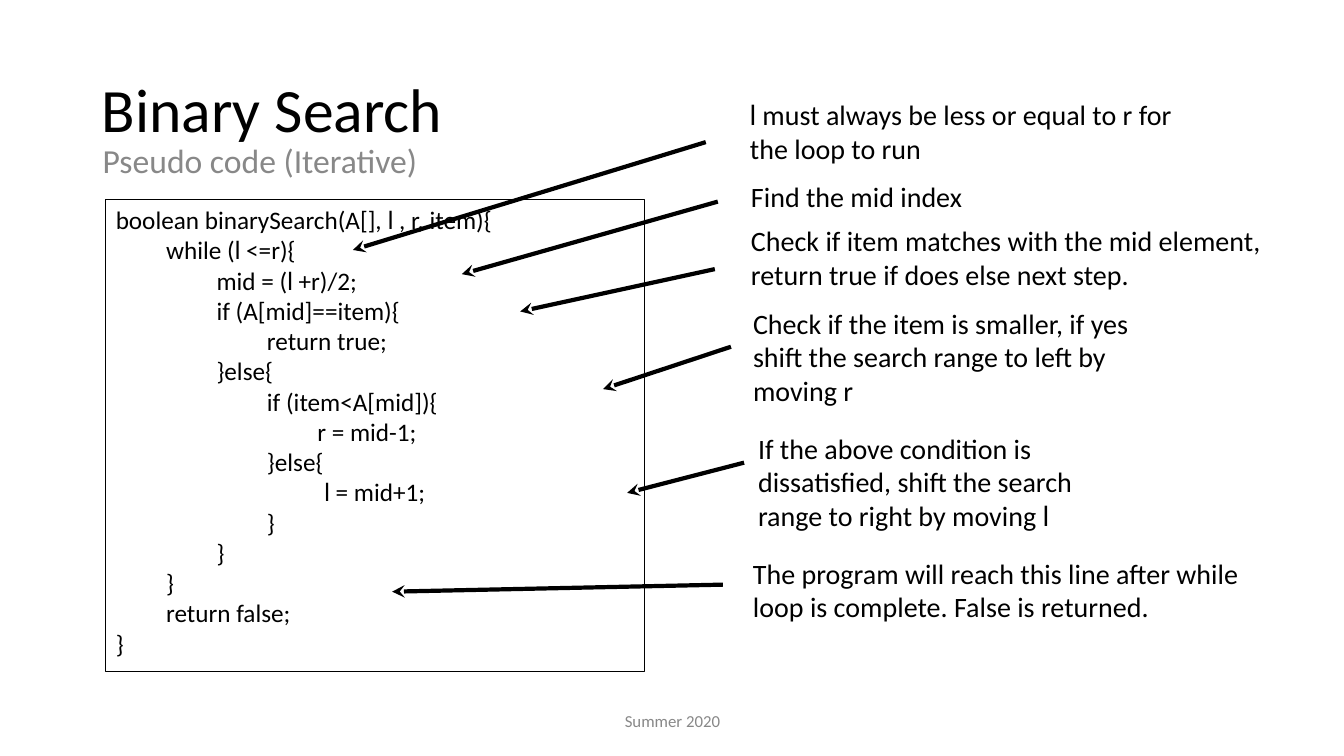
from dataclasses import dataclass

from lxml import etree
from pptx import Presentation
from pptx.dml.color import RGBColor
from pptx.enum.shapes import MSO_CONNECTOR, MSO_SHAPE
from pptx.enum.text import MSO_ANCHOR, MSO_AUTO_SIZE, PP_ALIGN
from pptx.oxml.ns import qn
from pptx.util import Emu, Pt

STRAIGHT = MSO_CONNECTOR.STRAIGHT
RECT = MSO_SHAPE.RECTANGLE
TOP, MIDDLE, BOTTOM = MSO_ANCHOR.TOP, MSO_ANCHOR.MIDDLE, MSO_ANCHOR.BOTTOM
NO_FIT, GROW = MSO_AUTO_SIZE.NONE, MSO_AUTO_SIZE.SHAPE_TO_FIT_TEXT
LEFT, CENTER = PP_ALIGN.LEFT, PP_ALIGN.CENTER
EMU_PER_PX = 9144


@dataclass(frozen=True)
class Theme:
    """Fonts, colours, type sizes and line widths of the slide."""
    font: str = "Calibri"
    variable_font: str = "Arial"
    ink: RGBColor = RGBColor(0x00, 0x00, 0x00)
    muted: RGBColor = RGBColor(0x88, 0x88, 0x88)
    title: int = 44
    subtitle: int = 24
    note: int = 20
    code: int = 18
    footer: int = 12
    border: float = 0.75
    arrow: float = 3


THEME = Theme()

CODE = [
    (0, "boolean binarySearch(A[], |l| , r, item){"),
    (1, "while (|l| <=r){"),
    (2, "mid = (|l| +r)/2;"),
    (2, "if (A[mid]==item){"),
    (3, "return true;"),
    (2, "}else{"),
    (3, "if (item<A[mid]){"),
    (4, "r = mid-1;"),
    (3, "}else{"),
    (4, "| l| = mid+1;"),
    (3, "}"),
    (2, "}"),
    (1, "}"),
    (1, "return false;"),
    (0, "}"),
]

NOTES = [
    ((734, 92, 464, 77), "|l| must always be less or equal to r for the loop to run"),
    ((735, 173, 471, 44), "Find the mid index"),
    ((735, 217, 544, 77), "Check if item matches with the mid element, "
                          "return true if does else next step."),
    ((737, 299, 395, 111), "Check if the item is smaller, if yes shift the "
                           "search range to left by moving r"),
    ((742, 423, 395, 111), "If the above condition is dissatisfied, shift the "
                           "search range to right by moving |l|"),
    ((737, 547, 513, 77), "The program will reach this line after while "
                          "loop is complete. False is returned."),
]

ARROWS = [
    ((700, 141), (350, 248)),
    ((712, 200), (458, 272)),
    ((709, 267), (516, 309)),
    ((725, 344), (598, 386)),
    ((738, 459), (622, 489)),
    ((717, 580), (389, 587)),
]


def px(*lengths):
    """Turn pixel lengths into EMU."""
    return [Emu(n * EMU_PER_PX) for n in lengths]


def write(sp, text, *, size, color=THEME.ink, align=LEFT, anchor=TOP,
          fit=NO_FIT, spacing=1.0):
    """Fill a shape with lines of text, setting words between bars as variables."""
    tf = sp.text_frame
    tf.word_wrap = True
    tf.auto_size = fit
    tf.vertical_anchor = anchor
    for i, line in enumerate(text.split("\n")):
        p = tf.add_paragraph() if i else tf.paragraphs[0]
        p.alignment = align
        p.line_spacing = spacing
        for j, part in enumerate(line.split("|")):
            if part:
                r = p.add_run()
                r.text = part
                r.font.name = THEME.variable_font if j % 2 else THEME.font
                r.font.size = Pt(size)
                r.font.color.rgb = color


def add_text(slide, box, text, **fmt):
    """Add a text box."""
    write(slide.shapes.add_textbox(*px(*box)), text, **fmt)


def add_title(slide, box, text, **fmt):
    """Place and fill the title placeholder."""
    sp = slide.shapes.title
    sp.left, sp.top, sp.width, sp.height = px(*box)
    write(sp, text, **fmt)


def add_code(slide, box, lines):
    """Add the bordered listing, indented by tabs."""
    sp = slide.shapes.add_shape(RECT, *px(*box))
    sp.shadow.inherit = False
    sp.fill.background()
    sp.line.color.rgb = THEME.ink
    sp.line.width = Pt(THEME.border)
    text = "\n".join("\t" * depth + line for depth, line in lines)
    write(sp, text, size=THEME.code, fit=GROW)


def add_arrow(slide, start, end):
    """Add a thick line with a stealth head at its end."""
    s = slide.shapes.add_connector(STRAIGHT, *px(*start, *end))
    s.line.color.rgb = THEME.ink
    s.line.width = Pt(THEME.arrow)
    etree.SubElement(s.line._get_or_add_ln(), qn("a:tailEnd"), type="stealth")
    etree.SubElement(s._element.spPr, qn("a:effectLst"))


def main():
    """Build and save the slide."""
    prs = Presentation()
    prs.slide_width, prs.slide_height = px(1333, 750)
    slide = prs.slides.add_slide(prs.slide_layouts.get_by_name("Title Only"))

    add_title(slide, (91, 63, 1150, 87), "Binary Search",
              size=THEME.title, anchor=BOTTOM, spacing=0.9)
    add_text(slide, (92, 138, 1150, 62), "Pseudo code (Iterative)",
             size=THEME.subtitle, color=THEME.muted, spacing=0.9)
    add_text(slide, (442, 695, 450, 40), "Summer 2020", size=THEME.footer,
             color=THEME.muted, align=CENTER, anchor=MIDDLE)
    add_code(slide, (105, 198, 534, 468), CODE)
    for start, end in ARROWS:
        add_arrow(slide, start, end)
    for box, text in NOTES:
        add_text(slide, box, text, size=THEME.note, fit=GROW)

    prs.save("out.pptx")


if __name__ == "__main__":
    main()
